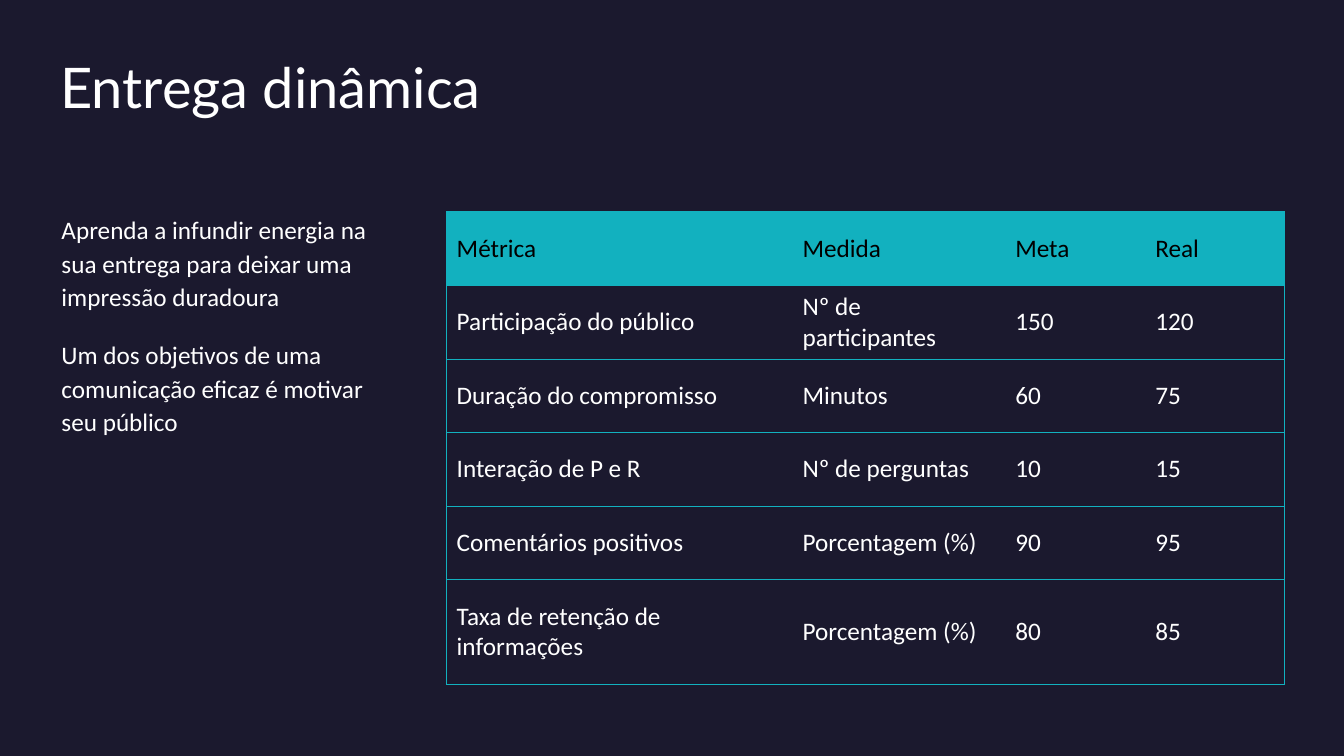
from dataclasses import dataclass

import pptx
import pptx.dml.color
import pptx.enum.text
import pptx.oxml
import pptx.oxml.ns
import pptx.slide
import pptx.table
import pptx.text.text
import pptx.util

Inches = pptx.util.Inches
Pt = pptx.util.Pt
RGBColor = pptx.dml.color.RGBColor

NAVY = RGBColor(0x1B, 0x19, 0x2E)
TEAL = RGBColor(0x12, 0xB1, 0xBF)
WHITE = RGBColor(0xFF, 0xFF, 0xFF)
BLACK = RGBColor(0, 0, 0)

COLS = (3.43, 2.11, 1.39, 1.38)
ROWS = (0.73,) * 5 + (1.04,)
DATA = (
    ("Métrica", "Medida", "Meta", "Real"),
    ("Participação do público", "Nº de participantes", "150", "120"),
    ("Duração do compromisso", "Minutos", "60", "75"),
    ("Interação de P e R", "Nº de perguntas", "10", "15"),
    ("Comentários positivos", "Porcentagem (%)", "90", "95"),
    ("Taxa de retenção de informações", "Porcentagem (%)", "80", "85"),
)


@dataclass(frozen=True)
class Block:
    left: float
    top: float
    width: float
    height: float
    lines: tuple[str, ...]
    font: str
    size: int
    pitch: float
    before: int = 0
    after: int = 0
    right: float = 0
    base: float = 0


BLOCKS = (
    Block(0.6, 0.6, 12.13, 1.35, ("Entrega dinâmica",), "Lato", 40, 0.9),
    Block(
        0.61, 2.1, 3.19, 4.7,
        (
            "Aprenda a infundir energia na sua entrega para deixar uma impressão duradoura",
            "Um dos objetivos de uma comunicação eficaz é motivar seu público",
        ),
        "Calibri", 18, 1.1, before=10, after=8, right=0.1, base=0.05,
    ),
)


def apply(target: object, values: dict[str, object]) -> None:
    for name, value in values.items():
        setattr(target, name, value)


def style(font: pptx.text.text.Font, face: str, size: int, color: RGBColor) -> None:
    apply(font, {"name": face, "size": Pt(size), "bold": False})
    font.color.rgb = color


def add_block(slide: pptx.slide.Slide, block: Block) -> None:
    box = slide.shapes.add_textbox(
        Inches(block.left), Inches(block.top), Inches(block.width), Inches(block.height)
    )
    frame = box.text_frame
    apply(frame, {
        "word_wrap": True,
        "margin_left": 0,
        "margin_top": 0,
        "margin_right": Inches(block.right),
        "margin_bottom": Inches(block.base),
        "text": "\n".join(block.lines),
    })
    for index, para in enumerate(frame.paragraphs):
        apply(para, {
            "line_spacing": block.pitch,
            "space_before": Pt(block.before if index else 0),
            "space_after": Pt(block.after),
        })
        style(para.runs[0].font, block.font, block.size, WHITE)


def add_edges(cell: pptx.table._Cell, first: bool, last: bool) -> None:
    shown = {"lnL": first, "lnR": last, "lnT": True, "lnB": True}
    space = pptx.oxml.ns.nsdecls("a")
    props = cell._tc.get_or_add_tcPr()
    for tag, solid in shown.items():
        paint = (
            f'<a:solidFill><a:srgbClr val="{TEAL}"/></a:solidFill>'
            if solid else "<a:noFill/>"
        )
        props.append(pptx.oxml.parse_xml(
            f'<a:{tag} {space} w="{Pt(0.5)}">{paint}</a:{tag}>'
        ))


def add_grid(slide: pptx.slide.Slide) -> None:
    table = slide.shapes.add_table(
        len(ROWS), len(COLS), Inches(4.43), Inches(2.1),
        Inches(sum(COLS)), Inches(sum(ROWS)),
    ).table
    apply(table, {"first_row": False, "horz_banding": False})
    for column, width in zip(table.columns, COLS):
        column.width = Inches(width)
    for row, height in zip(table.rows, ROWS):
        row.height = Inches(height)
    for y, texts in enumerate(DATA):
        for x, text in enumerate(texts):
            cell = table.cell(y, x)
            apply(cell, {
                "text": text,
                "vertical_anchor": pptx.enum.text.MSO_ANCHOR.MIDDLE,
            })
            add_edges(cell, x == 0, x == len(COLS) - 1)
            if y == 0:
                cell.fill.solid()
                cell.fill.fore_color.rgb = TEAL
            else:
                cell.fill.background()
            run = cell.text_frame.paragraphs[0].runs[0]
            style(run.font, "Calibri", 18, WHITE if y else BLACK)


def main() -> None:
    deck = pptx.Presentation()
    apply(deck, {"slide_width": Inches(13.33), "slide_height": Inches(7.5)})
    slide = deck.slides.add_slide(deck.slide_layouts[6])
    slide.background.fill.solid()
    slide.background.fill.fore_color.rgb = NAVY
    for block in BLOCKS:
        add_block(slide, block)
    add_grid(slide)
    deck.save("out.pptx")


if __name__ == "__main__":
    main()
